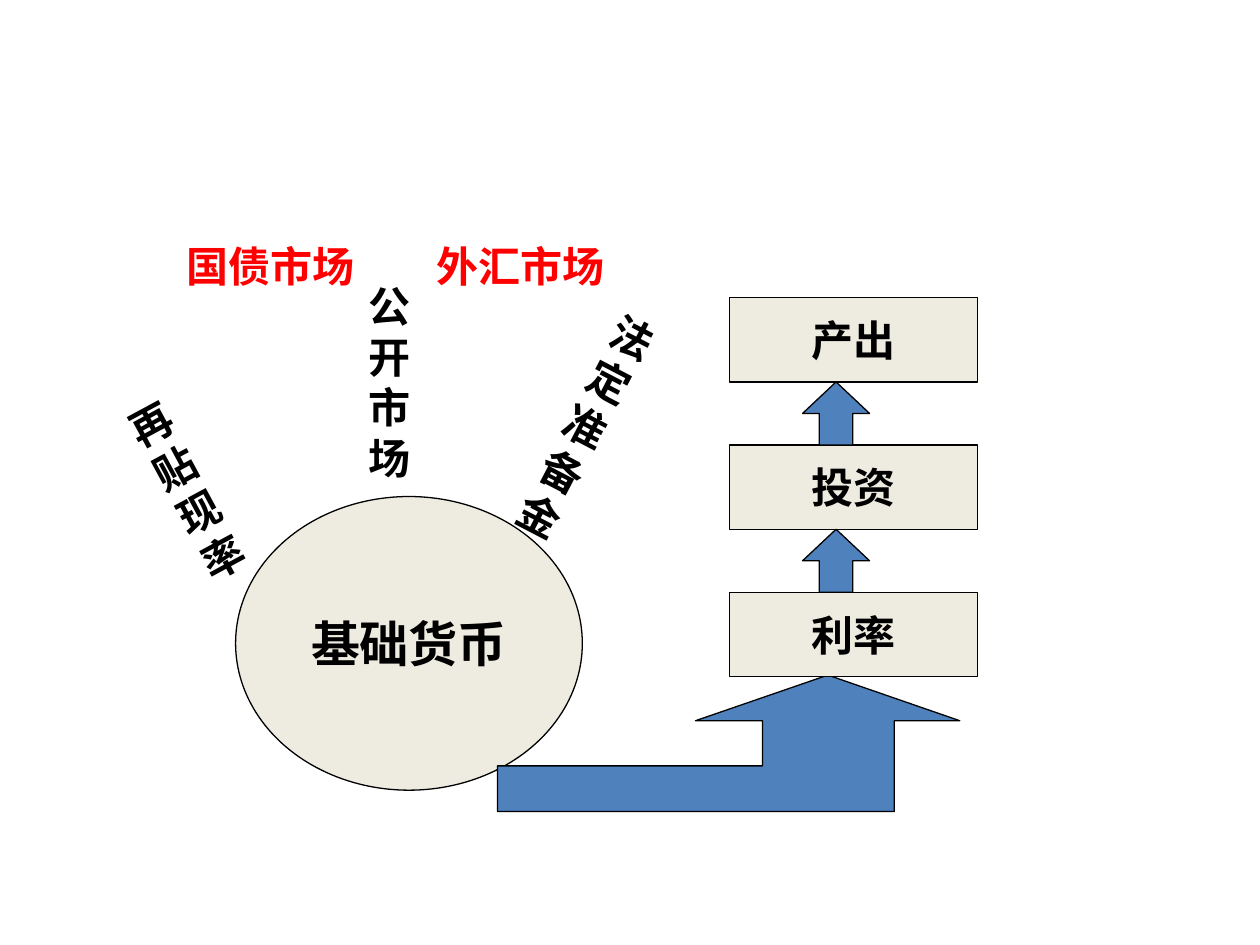
import pptx
import pptx.util
import pptx.dml.color
import pptx.enum.shapes
import pptx.enum.text

Cm = pptx.util.Cm
Pt = pptx.util.Pt
SHAPE = pptx.enum.shapes.MSO_SHAPE
ALIGN = pptx.enum.text.PP_ALIGN
ANCHOR = pptx.enum.text.MSO_ANCHOR

COLORS = {"paper": "EEECE1", "arrow": "4F81BD", "ink": "000000", "market": "FF0000"}


def rgb(name):
    return pptx.dml.color.RGBColor.from_string(COLORS[name])


def write(sp, text, size=24, color="ink", font="Times New Roman",
          align=ALIGN.CENTER, anchor=ANCHOR.TOP, wrap=False):
    """Fill a shape with bold text, one paragraph per line."""
    tf = sp.text_frame
    tf.word_wrap = wrap
    tf.vertical_anchor = anchor
    tf.text = text
    for p in tf.paragraphs:
        p.alignment = align
        for r in p.runs:
            r.font.name = font
            r.font.size = Pt(size)
            r.font.bold = True
            r.font.color.rgb = rgb(color)


def paint(sp, fill):
    sp.shadow.inherit = False
    sp.fill.solid()
    sp.fill.fore_color.rgb = rgb(fill)
    sp.line.color.rgb = rgb("ink")
    sp.line.width = Pt(0.75)


def add_block(slide, kind, box, fill="paper", text=None, size=24):
    sp = slide.shapes.add_shape(kind, *map(Cm, box))
    paint(sp, fill)
    if text:
        write(sp, text, size, anchor=ANCHOR.MIDDLE)


def add_label(slide, text, box, rotation=0, **style):
    sp = slide.shapes.add_textbox(*map(Cm, box))
    sp.rotation = rotation
    write(sp, text, **style)


def add_bent_arrow(slide):
    """Draw the arrow from the money base up to the interest rate."""
    points = [(16.69, 13.61), (14.02, 14.53), (15.37, 14.53), (15.37, 15.44),
              (10.03, 15.44), (10.03, 16.36), (18.03, 16.36), (18.03, 14.53),
              (19.35, 14.53)]
    start, *rest = [(Cm(x), Cm(y)) for x, y in points]
    builder = slide.shapes.build_freeform(*start, scale=1.0)
    builder.add_line_segments(rest, close=True)
    paint(builder.convert_to_shape(), "arrow")


def add_chain(slide):
    """Stack the effect boxes with an up arrow in each gap."""
    left, top, width, height, gap = 14.71, 6, 5, 1.7, 1.27
    for i, text in enumerate(["产出", "投资", "利率"]):
        y = top + i * (height + gap)
        add_block(slide, SHAPE.RECTANGLE, (left, y, width, height), text=text)
        if i:
            add_block(slide, SHAPE.UP_ARROW, (16.18, y - gap, 1.35, gap), "arrow")
    

def main():
    prs = pptx.Presentation()
    prs.slide_width, prs.slide_height = Cm(25.4), Cm(19.05)
    slide = prs.slides.add_slide(prs.slide_layouts[6])

    add_block(slide, SHAPE.OVAL, (4.75, 10.01, 6.99, 5.92), text="基础货币", size=28)
    add_bent_arrow(slide)
    add_chain(slide)
    add_label(slide, "国债市场", (3.51, 4.72, 3.89, 1.27), color="market")
    add_label(slide, "外汇市场", (8.1, 4.72, 4.8, 1.27), color="market", wrap=True)
    add_label(slide, "公开市场", (7.11, 5.54, 1.47, 4.32), wrap=True)
    add_label(slide, "\n".join("再贴现率"), (3.1, 7.72, 1.35, 4.32), rotation=331.6)
    add_label(slide, "\n".join("法定准备金"), (11.1, 6.12, 2.16, 5.33), rotation=27.6,
              font="Arial", align=ALIGN.LEFT, wrap=True)
    prs.save("out.pptx")


if __name__ == "__main__":
    main()
